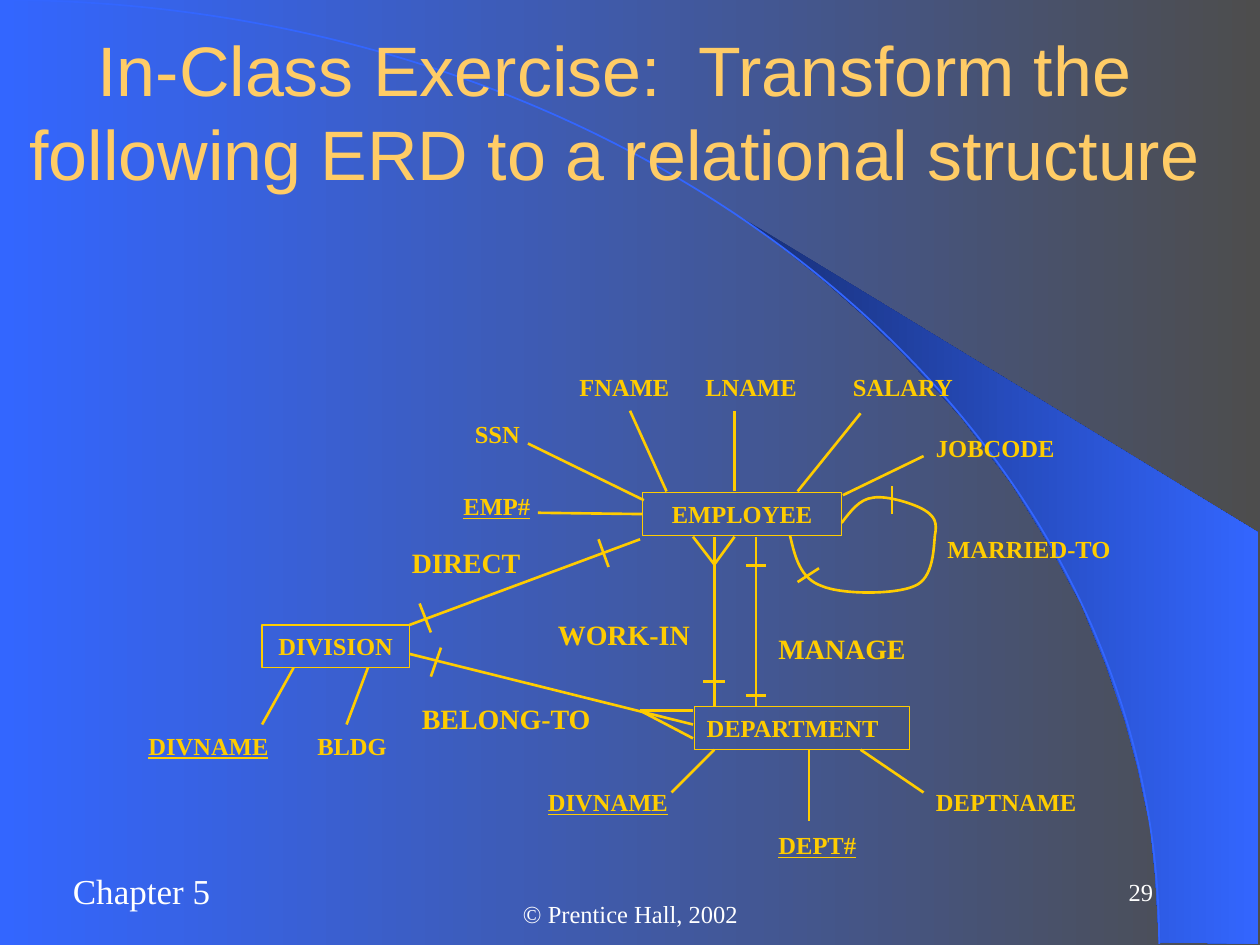
from dataclasses import dataclass

from pptx import Presentation
from pptx.dml.color import RGBColor
from pptx.enum.shapes import MSO_CONNECTOR, MSO_SHAPE
from pptx.enum.text import MSO_ANCHOR, PP_ALIGN
from pptx.oxml.ns import qn
from pptx.util import Inches, Pt

STRAIGHT = MSO_CONNECTOR.STRAIGHT
RECTANGLE = MSO_SHAPE.RECTANGLE
TOP, MIDDLE = MSO_ANCHOR.TOP, MSO_ANCHOR.MIDDLE
LEFT, CENTER, RIGHT = PP_ALIGN.LEFT, PP_ALIGN.CENTER, PP_ALIGN.RIGHT
LEFT_SIDE = 1


@dataclass(frozen=True)
class Theme:
    blue: str = "3366FF"
    navy: str = "182F76"
    gray: str = "4D4D4D"
    white: str = "FFFFFF"
    title: str = "FFCC66"
    diagram: str = "FFCC00"
    title_font: str = "Arial"
    body_font: str = "Times New Roman"
    title_size: int = 40
    chapter_size: int = 20
    relation_size: int = 16
    label_size: int = 14
    line: float = 1.5
    border: float = 0.75
    arc: float = 1


THEME = Theme()

# Background swoosh: Bezier arc and the wedge to its right
ARC = [(0, 0), (5.08, 0), (9.2, 3.35), (9.2, 7.49)]
WEDGE = [(9.2, 7.48), (9.99, 7.49), (9.99, 4.23), (5.89, 1.73), (6.24, 1.99),
         (6.53, 2.22), (6.85, 2.5), (7.16, 2.8), (7.62, 3.3), (8.03, 3.84),
         (8.32, 4.31), (8.58, 4.79), (8.78, 5.28), (8.93, 5.72), (9.03, 6.09),
         (9.13, 6.56), (9.17, 6.96)]

# Entities: left, top, width, alignment
ENTITIES = {
    "EMPLOYEE": (5.1, 3.91, 1.58, CENTER),
    "DIVISION": (2.08, 4.96, 1.17, CENTER),
    "DEPARTMENT": (5.51, 5.61, 1.71, LEFT),
}
BOX_HEIGHT = 0.34

# Labels: text, left, top, width, underlined
ATTRIBUTES = [
    ("SSN", 3.67, 3.28, 0.75, False),
    ("EMP#", 3.58, 3.85, 0.75, True),
    ("FNAME", 4.5, 2.9, 0.92, False),
    ("LNAME", 5.5, 2.9, 1, False),
    ("SALARY", 6.67, 2.9, 1.17, False),
    ("JOBCODE", 7.33, 3.39, 1.17, False),
    ("MARRIED-TO", 7.42, 4.19, 1.5, False),
    ("BLDG", 2.42, 5.75, 0.83, False),
    ("DIVNAME", 1.08, 5.75, 1.17, True),
    ("DIVNAME", 4.25, 6.2, 1.17, True),
    ("DEPT#", 6.08, 6.54, 0.83, True),
    ("DEPTNAME", 7.33, 6.2, 1.33, False),
]
RELATIONS = [
    ("DIRECT", 3.17, 4.28, 1.25),
    ("WORK-IN", 4.33, 4.85, 1.33),
    ("MANAGE", 6.08, 4.96, 1.25),
    ("BELONG-TO", 3.25, 5.52, 1.58),
]

# Lines: x1, y1, x2, y2
ATTRIBUTE_LINES = [
    (2.33, 5.3, 2.08, 5.75), (2.92, 5.3, 2.75, 5.75),
    (5.67, 5.95, 5.33, 6.29), (6.42, 5.95, 6.42, 6.52), (6.83, 5.95, 7.33, 6.29),
    (5.11, 3.97, 4.19, 3.52), (5.29, 3.9, 5, 3.26), (5.83, 3.9, 5.83, 3.26),
    (6.33, 3.9, 6.83, 3.28), (6.69, 3.93, 7.33, 3.62),
]
KEY_LINE = (4.27, 4.07, 5.11, 4.07)
RELATION_LINES = [
    (5.67, 4.26, 5.67, 5.61), (6, 4.26, 6, 5.61),
    (3.25, 4.96, 5.08, 4.28), (5.5, 5.75, 3.25, 5.19),
]
CARDINALITY_MARKS = [
    (7.08, 3.86, 7.08, 4.08), (6.5, 4.51, 6.33, 4.62),
    (5.92, 4.49, 6.08, 4.49), (5.92, 5.52, 6.08, 5.52), (5.58, 5.41, 5.75, 5.41),
    (5.5, 4.26, 5.67, 4.48), (5.83, 4.26, 5.67, 4.48),
    (3.5, 5.14, 3.42, 5.37), (5.5, 5.64, 5.08, 5.64), (5.5, 5.86, 5.08, 5.64),
    (3.42, 5.02, 3.33, 4.79), (4.83, 4.5, 4.75, 4.28),
]

# Start point and control points of the MARRIED-TO loop
LOOP = [(6.68, 4.15), (6.75, 4.06), (6.82, 3.96), (6.93, 3.95),
        (7.04, 3.93), (7.26, 4), (7.34, 4.05), (7.42, 4.1), (7.44, 4.15),
        (7.42, 4.25), (7.41, 4.35), (7.41, 4.59), (7.26, 4.65),
        (7.11, 4.72), (6.68, 4.72), (6.52, 4.65), (6.35, 4.59),
        (6.31, 4.42), (6.27, 4.25)]


def set_gradient(fill, start, end):
    fill.gradient()
    fill.gradient_angle = 0
    for stop, color, position in zip(fill.gradient_stops, (start, end), (0, 1)):
        stop.color.rgb = RGBColor.from_string(color)
        stop.position = position


def set_line(line, color, width):
    line.color.rgb = RGBColor.from_string(color)
    line.width = Pt(width)


def write_text(shape, text, size, color, align=LEFT, anchor=TOP, font=THEME.body_font,
               bold=False, underline=False, wrap=True):
    frame = shape.text_frame
    frame.word_wrap = wrap
    frame.vertical_anchor = anchor
    paragraph = frame.paragraphs[0]
    paragraph.text = text
    paragraph.alignment = align
    paragraph.font.name = font
    paragraph.font.size = Pt(size)
    paragraph.font.bold = bold
    paragraph.font.underline = underline
    paragraph.font.color.rgb = RGBColor.from_string(color)


def add_text(slide, text, left, top, width, height, size, color, **style):
    shape = slide.shapes.add_textbox(Inches(left), Inches(top), Inches(width), Inches(height))
    write_text(shape, text, size, color, **style)


def add_label(slide, text, left, top, width, size, underline=False):
    add_text(slide, text, left, top, width, BOX_HEIGHT, size, THEME.diagram,
             bold=True, underline=underline)


def add_entity(slide, name, left, top, width, align):
    shape = slide.shapes.add_shape(RECTANGLE, Inches(left), Inches(top),
                                   Inches(width), Inches(BOX_HEIGHT))
    shape.shadow.inherit = False
    shape.fill.background()
    set_line(shape.line, THEME.diagram, THEME.border)
    write_text(shape, name, THEME.label_size, THEME.diagram, align=align, bold=True)
    return shape


def add_line(slide, x1, y1, x2, y2):
    connector = slide.shapes.add_connector(STRAIGHT, Inches(x1), Inches(y1),
                                           Inches(x2), Inches(y2))
    set_line(connector.line, THEME.diagram, THEME.line)
    properties = connector._element.spPr
    properties.append(properties.makeelement(qn("a:effectLst"), {}))
    return connector


def add_outline(slide, points, close):
    corners = [(Inches(x), Inches(y)) for x, y in points]
    builder = slide.shapes.build_freeform(*corners[0])
    builder.add_line_segments(corners[1:], close=close)
    shape = builder.convert_to_shape()
    shape.shadow.inherit = False
    return shape


def add_curve(slide, controls, color, width):
    """Turn each three segments of an open outline into one cubic Bezier."""
    shape = add_outline(slide, controls, close=False)
    segments = list(shape._element.iter(qn("a:lnTo")))
    for first in range(0, len(segments), 3):
        curve = segments[first].makeelement(qn("a:cubicBezTo"), {})
        segments[first].addprevious(curve)
        for segment in segments[first:first + 3]:
            curve.append(segment[0])
            segment.getparent().remove(segment)
    shape.fill.background()
    set_line(shape.line, color, width)


def add_background(slide):
    set_gradient(slide.background.fill, THEME.blue, THEME.gray)
    wedge = add_outline(slide, WEDGE, close=True)
    set_gradient(wedge.fill, THEME.navy, THEME.blue)
    wedge.line.fill.background()
    add_curve(slide, ARC, THEME.blue, THEME.arc)


def main():
    presentation = Presentation()
    presentation.slide_width, presentation.slide_height = Inches(10), Inches(7.5)
    slide = presentation.slides.add_slide(presentation.slide_layouts[6])
    add_background(slide)

    # Footer and title
    add_text(slide, "Chapter 5", 0.48, 6.85, 1.29, 0.44, THEME.chapter_size, THEME.white, wrap=False)
    add_text(slide, "29", 7.17, 6.83, 2.08, 0.5, THEME.label_size, THEME.white,
             align=RIGHT, anchor=MIDDLE)
    add_text(slide, "© Prentice Hall, 2002", 3.42, 7, 3.17, 0.5, THEME.label_size, THEME.white,
             align=CENTER, anchor=MIDDLE)
    add_text(slide, "In-Class Exercise:  Transform the following ERD to a relational structure",
             0, 0.25, 9.75, 1.25, THEME.title_size, THEME.title,
             align=CENTER, anchor=MIDDLE, font=THEME.title_font)

    # Entities and labels
    entities = {name: add_entity(slide, name, *place) for name, place in ENTITIES.items()}
    for text, left, top, width, underline in ATTRIBUTES:
        add_label(slide, text, left, top, width, THEME.label_size, underline)
    for relation in RELATIONS:
        add_label(slide, *relation, THEME.relation_size)

    # Connections
    for ends in ATTRIBUTE_LINES + RELATION_LINES + CARDINALITY_MARKS:
        add_line(slide, *ends)
    add_line(slide, *KEY_LINE).end_connect(entities["EMPLOYEE"], LEFT_SIDE)
    add_curve(slide, LOOP, THEME.diagram, THEME.line)

    presentation.save("out.pptx")


if __name__ == "__main__":
    main()
